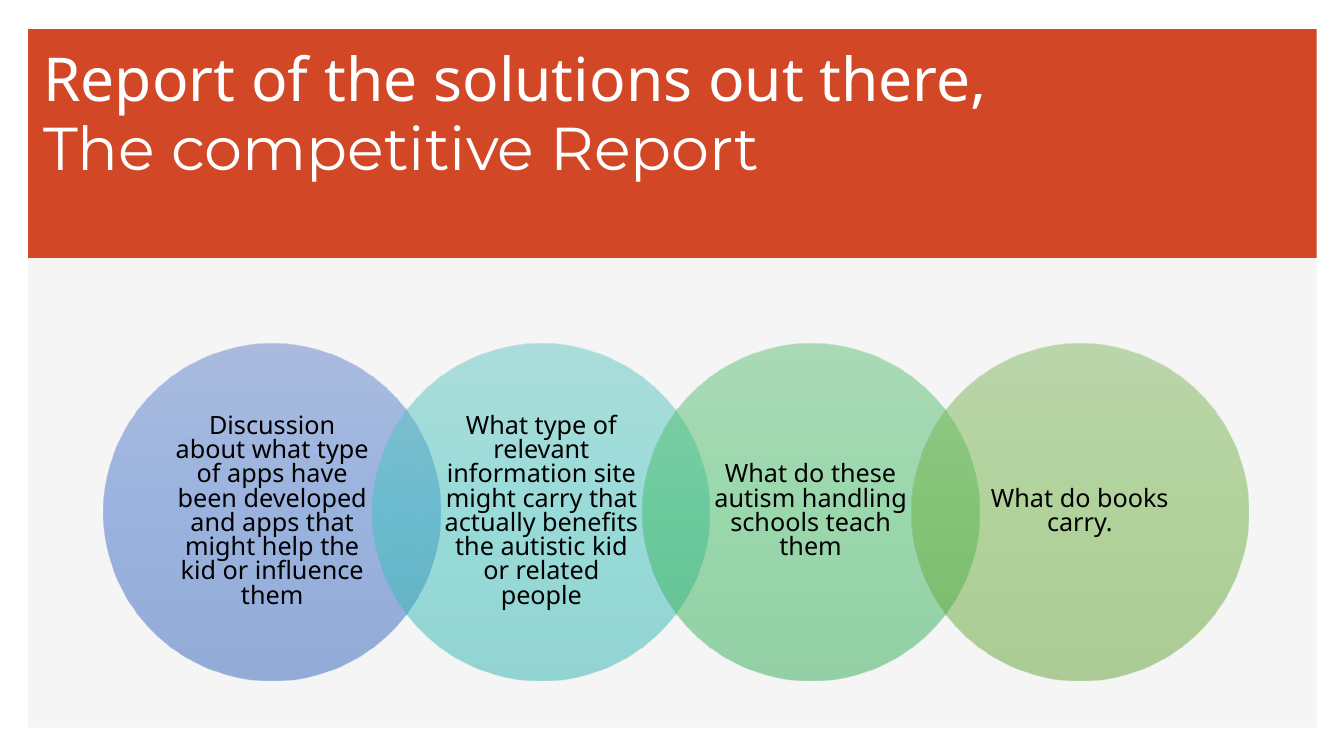
from dataclasses import dataclass

from lxml import etree
from pptx import Presentation
from pptx.dml.color import RGBColor
from pptx.enum.shapes import MSO_SHAPE
from pptx.enum.text import MSO_ANCHOR, PP_ALIGN
from pptx.oxml.ns import qn
from pptx.shapes.autoshape import Shape
from pptx.slide import Slide
from pptx.util import Inches, Pt

RECTANGLE, OVAL = MSO_SHAPE.RECTANGLE, MSO_SHAPE.OVAL
MIDDLE, CENTER = MSO_ANCHOR.MIDDLE, PP_ALIGN.CENTER


@dataclass(frozen=True)
class Theme:
    panel: str = "F5F5F5"
    banner: str = "D24726"
    title_text: str = "FFFFFF"
    body_text: str = "000000"
    font: str = "Noto Sans"
    accent_font: str = "Montserrat"
    title_size: float = 43.2
    body_size: float = 18


@dataclass(frozen=True)
class Topic:
    text: str
    gradient: tuple[str, str, str]


THEME = Theme()
TITLE_LINES = (
    ("Report of the solutions out there,", THEME.font),
    ("The competitive Report", THEME.accent_font),
)
TOPICS = (
    Topic("Discussion about what type of apps have been developed and apps "
          "that might help the kid or influence them",
          ("6183CB", "3E70CA", "3062BB")),
    Topic("What type of relevant information site might carry that actually "
          "benefits the autistic kid or related people",
          ("60C6C1", "3DC4BF", "30B5B0")),
    Topic("What do these autism handling schools teach them",
          ("60C077", "3FBC62", "33AC55")),
    Topic("What do books carry.",
          ("81B861", "6FB242", "62A336")),
)
CIRCLE_LEFT, CIRCLE_TOP = 1.03, 3.41
CIRCLE_SIZE, CIRCLE_STEP = 3.34, 2.67
GRADIENT_OPACITY = 50


def add_panel(s: Slide, height: float, color: str) -> None:
    sp = s.shapes.add_shape(RECTANGLE, Inches(0.28), Inches(0.29),
                            Inches(12.78), Inches(height))
    sp.shadow.inherit = False
    sp.fill.solid()
    sp.fill.fore_color.rgb = RGBColor.from_string(color)
    sp.line.fill.background()


def add_title(s: Slide) -> None:
    tf = s.shapes.add_textbox(Inches(0.33), Inches(0.79),
                              Inches(10.85), Inches(0.7)).text_frame
    tf.word_wrap = True
    tf.vertical_anchor = MIDDLE
    p = tf.paragraphs[0]
    p.line_spacing = 0.95
    p.font.size = Pt(THEME.title_size)
    p.font.color.rgb = RGBColor.from_string(THEME.title_text)
    for i, (text, font) in enumerate(TITLE_LINES):
        if i:
            p.add_line_break()
        r = p.add_run()
        r.text = text
        r.font.name = font


def set_translucent_gradient(sp: Shape, colors: tuple[str, str, str]) -> None:
    """Fill from top to bottom with evenly spaced, see-through stops."""
    sp.fill.gradient()
    grad = sp._element.spPr.find(qn("a:gradFill"))
    stops = grad.find(qn("a:gsLst"))
    for stop in list(stops):
        stops.remove(stop)
    for i, color in enumerate(colors):
        position = 100000 * i // (len(colors) - 1)
        stop = etree.SubElement(stops, qn("a:gs"), pos=str(position))
        rgb = etree.SubElement(stop, qn("a:srgbClr"), val=color)
        etree.SubElement(rgb, qn("a:alpha"), val=str(GRADIENT_OPACITY * 1000))
    grad.find(qn("a:lin")).set("ang", str(90 * 60000))


def add_topic(s: Slide, topic: Topic, left: float) -> None:
    sp = s.shapes.add_shape(OVAL, Inches(left), Inches(CIRCLE_TOP),
                            Inches(CIRCLE_SIZE), Inches(CIRCLE_SIZE))
    sp.shadow.inherit = False
    set_translucent_gradient(sp, topic.gradient)
    sp.line.fill.background()
    tf = sp.text_frame
    tf.word_wrap = True
    tf.vertical_anchor = MIDDLE
    tf.margin_left = tf.margin_right = Inches(0.18)
    tf.margin_top = tf.margin_bottom = Inches(0.03)
    p = tf.paragraphs[0]
    p.text = topic.text
    p.alignment = CENTER
    p.line_spacing = 0.8
    p.font.name = THEME.font
    p.font.size = Pt(THEME.body_size)
    p.font.color.rgb = RGBColor.from_string(THEME.body_text)


def main() -> None:
    prs = Presentation()
    prs.slide_width, prs.slide_height = Inches(13.33), Inches(7.5)
    s = prs.slides.add_slide(prs.slide_layouts[6])
    add_panel(s, 6.93, THEME.panel)
    add_panel(s, 2.27, THEME.banner)
    add_title(s)
    for i, topic in enumerate(TOPICS):
        add_topic(s, topic, CIRCLE_LEFT + i * CIRCLE_STEP)
    prs.save("out.pptx")


if __name__ == "__main__":
    main()
